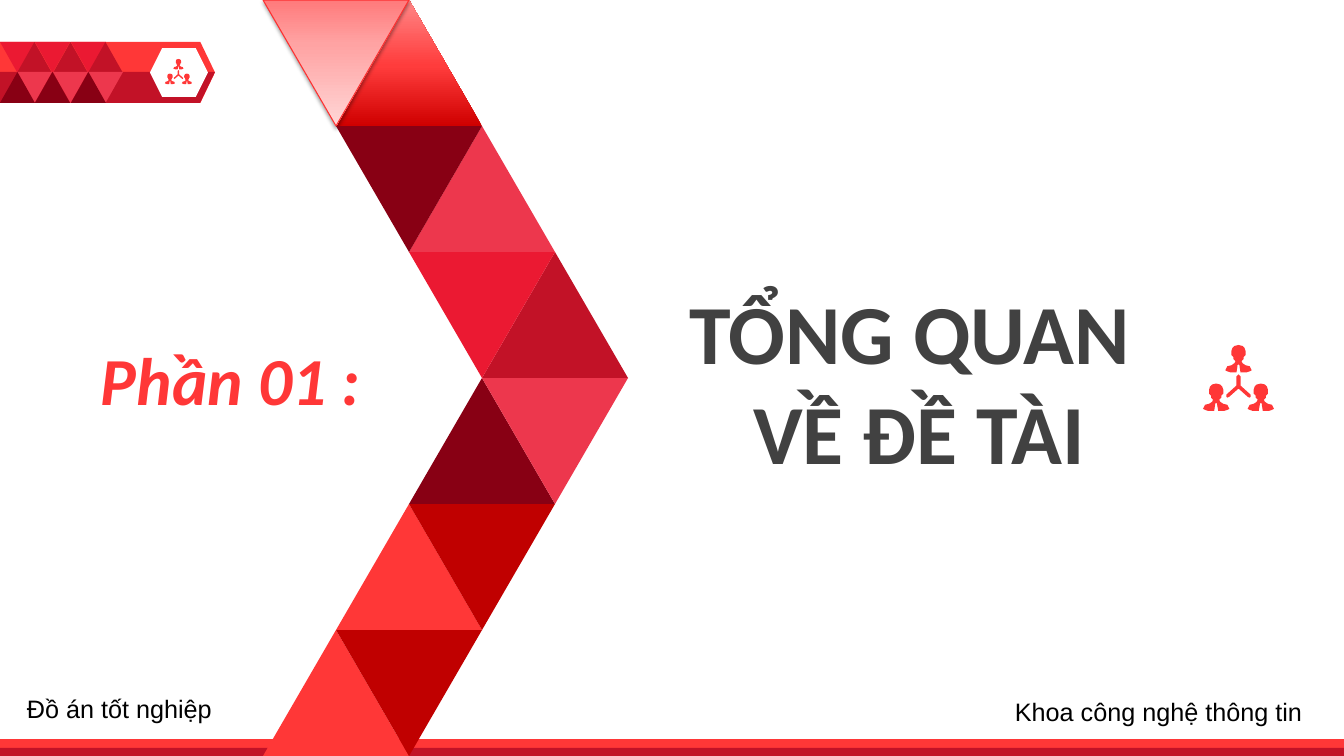
from copy import deepcopy
from dataclasses import dataclass

from lxml import etree
from pptx import Presentation
from pptx import util as u
from pptx.dml.color import RGBColor
from pptx.enum import shapes, text
from pptx.oxml import ns

PX = 914400 / 100.8


def px(length):
    return u.Emu(round(length * PX))


@dataclass(frozen=True)
class Theme:
    white: str = "FFFFFF"
    ink: str = "000000"
    gray: str = "414141"
    bright: str = "FF3737"
    scarlet: str = "EB1932"
    rose: str = "ED374D"
    crimson: str = "C21227"
    deep: str = "C00000"
    maroon: str = "880014"
    outline: str = "FD3030"
    glow: tuple = ((0, "CF0000"), (0.48, "FF3C3C"), (1, "FF8787"))
    blush: tuple = ((0, "FF7A7B"), (0.35, "FFA3A3"), (1, "FFD6D6"))
    heading_font: str = "Calibri"
    body_font: str = "Arial"
    title_size: int = 60
    section_size: int = 48
    footer_size: int = 18


PERSON = [(0, 0), (4, 1), (6, 3), (7, 6), (7, 10), (5, 12), (5, 14), (3, 16),
          (4, 18), (7, 20), (11, 21), (13, 25), (11, 26), (8, 27), (2, 27),
          (1, 21), (1, 20), (0, 19)]
LINK = [(0, 0), (2, 2), (2, 11), (12, 20), (12, 22), (11, 23), (9, 22), (0, 14)]
TEAM_PARTS = [(PERSON, 57, 38), (PERSON, 13, 38), (LINK, 35, 29), (PERSON, 35, 0)]
TEAM_WIDTH = 70


def symmetric(half, center, top):
    outline = half + [(-x, y) for x, y in reversed(half[1:-1])]
    return [(center + x, top + y) for x, y in outline]


class Painter:
    def __init__(self, slide, theme):
        self.slide = slide
        self.theme = theme

    def paint(self, shape, fill):
        shape.shadow.inherit = False
        shape.line.fill.background()
        if isinstance(fill, str):
            shape.fill.solid()
            shape.fill.fore_color.rgb = RGBColor.from_string(fill)
            return shape
        shape.fill.gradient()
        shape.fill.gradient_angle = 90
        stops = next(shape._element.iter(ns.qn("a:gsLst")))
        while len(stops) < len(fill):
            stops.append(deepcopy(stops[0]))
        for stop, (position, color) in zip(shape.fill.gradient_stops, fill):
            stop.position = position
            stop.color.rgb = RGBColor.from_string(color)
        return shape

    def preset(self, kind, left, top, width, height, fill, adjustment=None):
        shape = self.slide.shapes.add_shape(kind, px(left), px(top), px(width), px(height))
        if adjustment is not None:
            shape.adjustments[0] = adjustment
        return self.paint(shape, fill)

    def triangle(self, left, top, width, height, fill, down=False):
        shape = self.preset(shapes.MSO_SHAPE.ISOSCELES_TRIANGLE, left, top, width, height, fill)
        if down:
            shape.rotation = 180
        return shape

    def outline(self, left, top, scale, contours, fill):
        first, *others = contours
        builder = self.slide.shapes.build_freeform(*first[0], scale=scale * PX)
        builder.add_line_segments(first[1:], close=True)
        for contour in others:
            builder.move_to(*contour[0])
            builder.add_line_segments(contour[1:], close=True)
        return self.paint(builder.convert_to_shape(px(left), px(top)), fill)

    def team_icon(self, left, top, width):
        contours = [symmetric(*part) for part in TEAM_PARTS]
        self.outline(left, top, width / TEAM_WIDTH, contours, self.theme.bright)

    def raise_edge(self, shape):
        shape.line.color.rgb = RGBColor.from_string(self.theme.outline)
        shape.line.width = u.Pt(0.75)
        effects = shape._element.spPr.find(ns.qn("a:effectLst"))
        shadow = etree.SubElement(effects, ns.qn("a:outerShdw"), blurRad=str(u.Pt(3.1)),
                                  dist=str(u.Pt(1.6)), dir="5400000", rotWithShape="0")
        color = etree.SubElement(shadow, ns.qn("a:srgbClr"), val=self.theme.ink)
        etree.SubElement(color, ns.qn("a:alpha"), val="38000")

    def set_text(self, shape, lines, size, color, font, align=text.PP_ALIGN.LEFT,
                 bold=False, italic=False):
        frame = shape.text_frame
        frame.word_wrap = True
        frame.auto_size = text.MSO_AUTO_SIZE.NONE
        frame.vertical_anchor = text.MSO_ANCHOR.TOP
        frame.text = "\n".join(lines)
        for paragraph in frame.paragraphs:
            paragraph.alignment = align
            paragraph.font.size = u.Pt(size)
            paragraph.font.name = font
            paragraph.font.bold = bold
            paragraph.font.italic = italic
            paragraph.font.color.rgb = RGBColor.from_string(color)

    def label(self, left, top, width, height, line, *style, **options):
        box = self.slide.shapes.add_textbox(px(left), px(top), px(width), px(height))
        self.set_text(box, [line], *style, **options)

    def title(self, left, top, width, height, lines):
        shape = self.slide.shapes.title
        shape.left, shape.top, shape.width, shape.height = map(px, (left, top, width, height))
        self.set_text(shape, lines, self.theme.title_size, self.theme.gray,
                      self.theme.heading_font, text.PP_ALIGN.CENTER, bold=True)


def draw_header(painter, theme):
    painter.preset(shapes.MSO_SHAPE.PENTAGON, 0, 42, 215, 61, theme.bright, 0.24)
    painter.outline(0, 0, 1, [[(0, 72), (215, 72), (200, 103), (0, 103)]], theme.crimson)
    painter.preset(shapes.MSO_SHAPE.HEXAGON, 150, 48, 58, 49, theme.white, 0.25)
    painter.team_icon(165, 59, 27)
    for column in range(3):
        left, middle = (71 * step // 4 for step in (2 * column, 2 * column + 1))
        painter.triangle(left, 42, 35, 31, theme.scarlet, down=True)
        painter.triangle(middle, 42, 35, 31, theme.crimson)
        painter.triangle(middle, 72, 35, 31, theme.rose, down=True)
        painter.triangle(left, 72, 35, 31, theme.maroon)


def draw_chevron(painter, theme):
    rows = [(theme.glow, theme.blush), (theme.rose, theme.maroon),
            (theme.crimson, theme.scarlet), (theme.maroon, theme.rose),
            (theme.bright, theme.deep), (theme.bright, theme.deep)]
    for row, (up_fill, down_fill) in enumerate(rows):
        up, down = (row + 1, row) if row < 3 else (5 - row, 6 - row)
        painter.triangle(263 + 73 * up, 126 * row, 146, 126, up_fill)
        shape = painter.triangle(263 + 73 * down, 126 * row, 146, 126, down_fill, down=True)
        if row == 0:
            painter.raise_edge(shape)


def main():
    theme = Theme()
    presentation = Presentation()
    presentation.slide_width, presentation.slide_height = px(1344), px(756)
    slide = presentation.slides.add_slide(presentation.slide_layouts.get_by_name("Title Only"))
    painter = Painter(slide, theme)

    draw_header(painter, theme)
    painter.preset(shapes.MSO_SHAPE.RECTANGLE, 0, 739, 1344, 16, theme.bright)
    painter.preset(shapes.MSO_SHAPE.RECTANGLE, 0, 748, 1344, 8, theme.crimson)
    draw_chevron(painter, theme)

    painter.label(91, 333, 415, 91, "Phần 01 :", theme.section_size, theme.bright,
                  theme.heading_font, bold=True, italic=True)
    painter.title(647, 275, 544, 214, ["TỔNG QUAN ", "VỀ ĐỀ TÀI"])
    painter.team_icon(1203, 345, 71)
    footer = theme.footer_size, theme.ink, theme.body_font
    painter.label(17, 688, 285, 40, "Đồ án tốt nghiệp", *footer)
    painter.label(1005, 691, 336, 40, "Khoa công nghệ thông tin", *footer)

    presentation.save("out.pptx")


if __name__ == "__main__":
    main()
